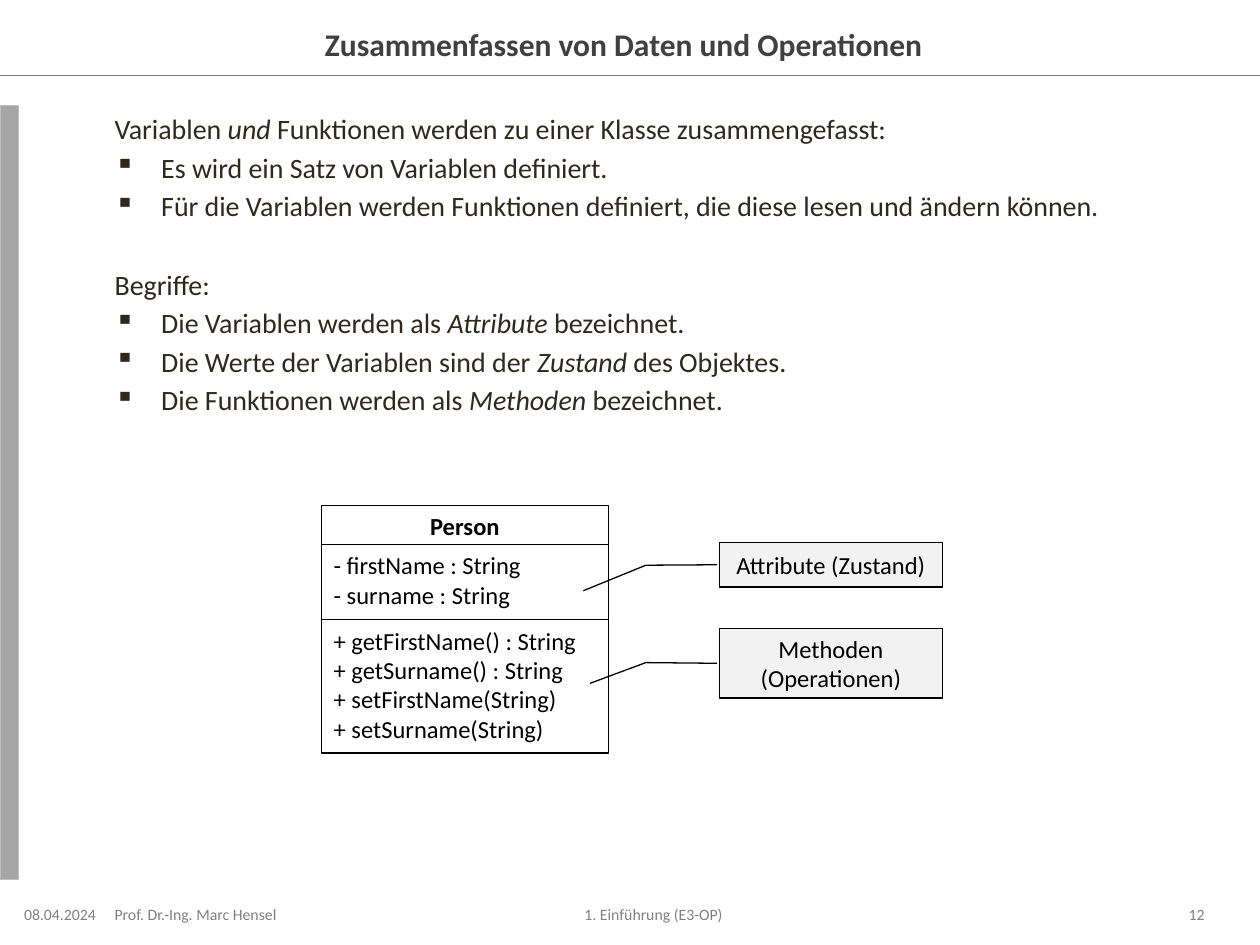
from dataclasses import dataclass

from lxml import etree
from pptx import Presentation
from pptx.dml.color import RGBColor
from pptx.enum.shapes import MSO_CONNECTOR, MSO_SHAPE
from pptx.enum.text import MSO_ANCHOR, PP_ALIGN
from pptx.oxml.ns import qn
from pptx.util import Inches, Pt

LEFT, CENTER, RIGHT = PP_ALIGN.LEFT, PP_ALIGN.CENTER, PP_ALIGN.RIGHT
TOP, MIDDLE = MSO_ANCHOR.TOP, MSO_ANCHOR.MIDDLE
RECT, CALLOUT = MSO_SHAPE.RECTANGLE, MSO_SHAPE.LINE_CALLOUT_2
STRAIGHT = MSO_CONNECTOR.STRAIGHT
SLIDE_W, SLIDE_H = Inches(10), Inches(7.5)


@dataclass(frozen=True)
class Theme:
    font: str = "Calibri"
    title: str = "404040"
    body: str = "2F291D"
    footer: str = "808080"
    ink: str = "000000"
    paper: str = "FFFFFF"
    label: str = "F2F2F2"
    bar: str = "A6A6A6"
    bar_edge: str = "BFBFBF"
    title_size: float = 18
    body_size: float = 16
    diagram_size: float = 14
    footer_size: float = 9
    line: float = 0.75
    gap: float = 2.8
    section_gap: float = 25.6


THEME = Theme()
BULLET_INDENT = 0.37
FLUSH_LEFT, FLUSH_RIGHT, INSET = (0, 0.1), (0.1, 0), (0.1, 0.1)


def rgb(value):
    return RGBColor.from_string(value)


def place(x, y, w, h):
    """Turn percentages of the slide's width and height into lengths."""
    return (int(SLIDE_W * x / 100), int(SLIDE_H * y / 100),
            int(SLIDE_W * w / 100), int(SLIDE_H * h / 100))


def add_bullet(p):
    pPr = p._p.get_or_add_pPr()
    pPr.set("marL", str(Inches(BULLET_INDENT)))
    pPr.set("indent", str(-Inches(BULLET_INDENT)))
    etree.SubElement(pPr, qn("a:buChar")).set("char", "▪")


def write_text(sp, lines, size, color, bold=False, align=LEFT, anchor=TOP,
               insets=INSET, gap=0, section_gap=0):
    """Write lines; "▪" starts a bullet and asterisks enclose italics."""
    tf = sp.text_frame
    tf.word_wrap = True
    tf.vertical_anchor = anchor
    tf.margin_left, tf.margin_right = map(Inches, insets)
    tf.margin_top = tf.margin_bottom = Inches(0.05)
    for i, line in enumerate(lines):
        p = tf.paragraphs[0] if i == 0 else tf.add_paragraph()
        p.alignment = align
        bulleted = line.startswith("▪")
        if i:
            p.space_before = Pt(gap if bulleted else section_gap)
        if bulleted:
            add_bullet(p)
        for j, part in enumerate(line.removeprefix("▪").split("*")):
            r = p.add_run()
            r.text = part
            r.font.name, r.font.size = THEME.font, Pt(size)
            r.font.bold, r.font.italic = bold, j % 2 == 1
            r.font.color.rgb = rgb(color)


def add_text(s, box, lines, **fmt):
    write_text(s.shapes.add_textbox(*place(*box)), lines, **fmt)


def add_box(s, box, fill, line, kind=RECT):
    sp = s.shapes.add_shape(kind, *place(*box))
    sp.shadow.inherit = False
    sp.fill.solid()
    sp.fill.fore_color.rgb = rgb(fill)
    sp.line.color.rgb = rgb(line)
    sp.line.width = Pt(THEME.line)
    return sp


def add_rule(s, y):
    x, top, w, _ = place(0, y, 100, 0)
    ln = s.shapes.add_connector(STRAIGHT, x, top, x + w, top)
    ln.line.color.rgb = rgb(THEME.footer)
    ln.line.width = Pt(THEME.line)
    etree.SubElement(ln._element.spPr, qn("a:effectLst"))


def add_class(s, x, y, w, parts):
    """Stack the compartments of a UML class."""
    for h, lines, fmt in parts:
        sp = add_box(s, (x, y, w, h), THEME.paper, THEME.ink)
        write_text(sp, lines, THEME.diagram_size, THEME.ink, **fmt)
        y += h


def add_callout(s, box, lines, leader):
    sp = add_box(s, box, THEME.label, THEME.ink, CALLOUT)
    for i, value in enumerate(leader):
        sp.adjustments[i] = value
    write_text(sp, lines, THEME.diagram_size, THEME.ink, align=CENTER,
               anchor=MIDDLE)


def main():
    prs = Presentation()
    prs.slide_width, prs.slide_height = SLIDE_W, SLIDE_H
    s = prs.slides.add_slide(prs.slide_layouts[6])

    # Frame and title
    add_rule(s, 8)
    add_box(s, (0, 11.2, 1.5, 81.87), THEME.bar, THEME.bar_edge)
    add_text(s, (12.4, 2, 75.2, 5.2),
             ["Zusammenfassen von Daten und Operationen"],
             size=THEME.title_size, color=THEME.title, bold=True,
             align=CENTER, anchor=MIDDLE, insets=FLUSH_LEFT)

    # Body
    add_text(s, (9.1, 11.2, 86.6, 81.87), [
        "Variablen *und* Funktionen werden zu einer Klasse zusammengefasst:",
        "▪Es wird ein Satz von Variablen definiert.",
        "▪Für die Variablen werden Funktionen definiert, "
        "die diese lesen und ändern können.",
        "Begriffe:",
        "▪Die Variablen werden als *Attribute* bezeichnet.",
        "▪Die Werte der Variablen sind der *Zustand* des Objektes.",
        "▪Die Funktionen werden als *Methoden* bezeichnet.",
    ], size=THEME.body_size, color=THEME.body, insets=FLUSH_LEFT,
        gap=THEME.gap, section_gap=THEME.section_gap)

    # Footer
    for x, w, text, align, insets in [
        (1.5, 7.5, "08.04.2024", CENTER, FLUSH_LEFT),
        (9.1, 15, "Prof. Dr.-Ing. Marc Hensel", LEFT, FLUSH_LEFT),
        (24.8, 55.1, "1. Einführung (E3-OP)", CENTER, FLUSH_LEFT),
        (89.2, 6.4, "12", RIGHT, FLUSH_RIGHT),
    ]:
        add_text(s, (x, 95.7, w, 2), [text], size=THEME.footer_size,
                 color=THEME.footer, align=align, anchor=MIDDLE,
                 insets=insets)

    # Class diagram
    add_class(s, 25.5, 53.47, 22.8, [
        (4.13, ["Person"], {"bold": True, "align": CENTER}),
        (7.95, ["- firstName : String", "- surname : String"], {}),
        (14.13, ["+ getFirstName() : String", "+ getSurname() : String",
                 "+ setFirstName(String)", "+ setSurname(String)"], {}),
    ])

    # Callouts: leader points as (y, x) shares of the label
    add_callout(s, (57.1, 57.4, 17.7, 4.73), ["Attribute (Zustand)"],
                (0.5, -0.01, 0.51, -0.33, 1.08, -0.61))
    add_callout(s, (57.1, 66.53, 17.7, 7.33), ["Methoden", "(Operationen)"],
                (0.5, -0.01, 0.49, -0.33, 0.79, -0.58))

    prs.save("out.pptx")


if __name__ == "__main__":
    main()
